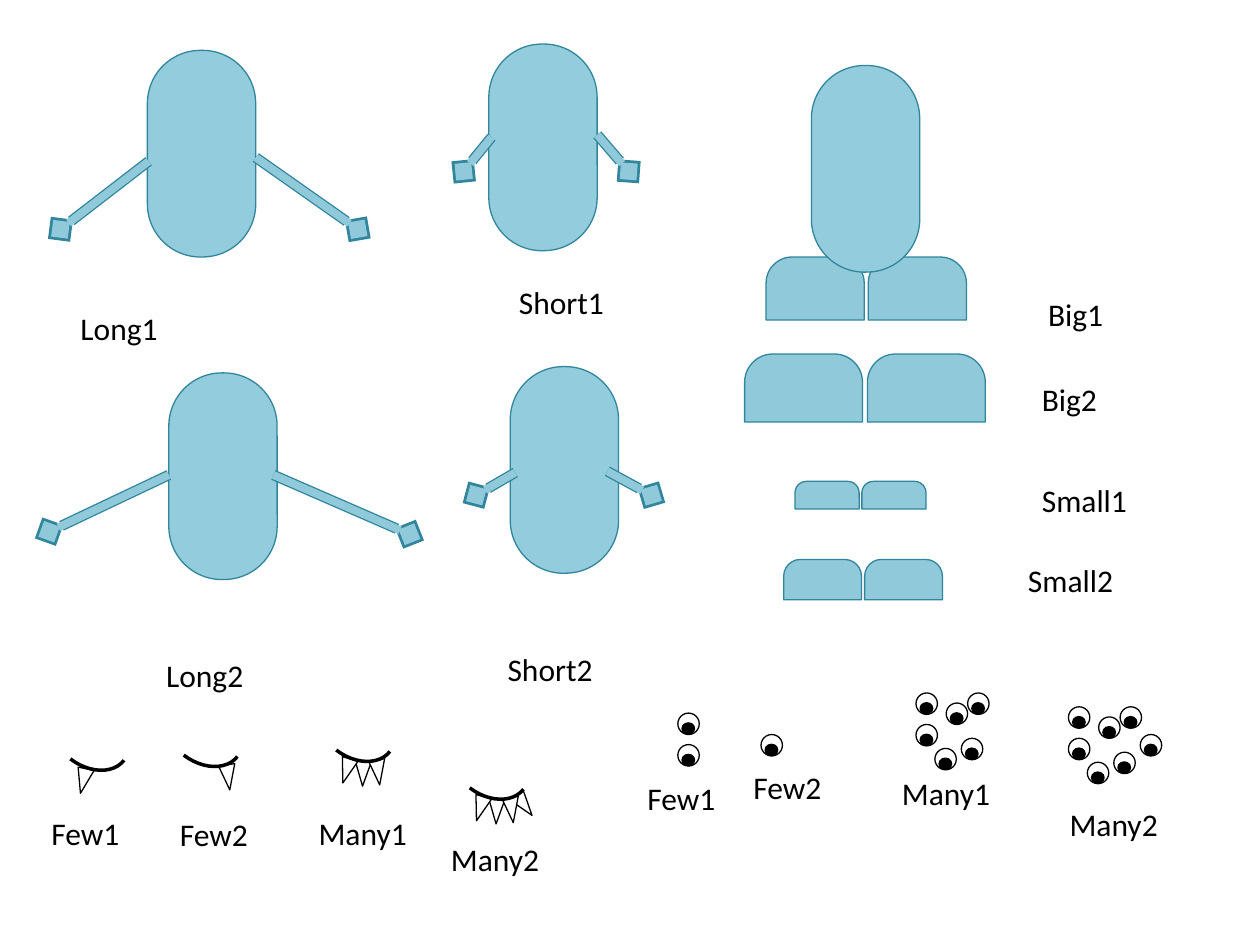
from dataclasses import dataclass

from lxml.etree import SubElement
from pptx import Presentation
from pptx.dml.color import RGBColor
from pptx.enum.shapes import MSO_CONNECTOR, MSO_SHAPE
from pptx.enum.text import MSO_AUTO_SIZE, PP_ALIGN
from pptx.oxml.ns import qn
from pptx.util import Inches, Pt


@dataclass(frozen=True)
class Theme:
    body: str = "93CDDD"
    limb: str = "90C9DA"
    edge: str = "31859C"
    ink: str = "000000"
    paper: str = "FFFFFF"
    font: str = "Calibri"
    label_size: float = 18
    outline: float = 0.75
    lid: float = 2
    arm_edge: float = 6
    arm: float = 4.5


THEME = Theme()
prs = Presentation()
prs.slide_width, prs.slide_height = Inches(10), Inches(7.5)

# Grid of 100 columns by 75 rows
COL = prs.slide_width / 100
ROW = prs.slide_height / 75


def place(x, y, *size):
    lengths = (x * COL, y * ROW) + tuple(
        side * unit for side, unit in zip(size, (COL, ROW, COL, ROW)))
    return [round(length) for length in lengths]


def rgb(value):
    return RGBColor.from_string(value)


def add_part(shapes, kind, box, fill, line=THEME.ink, width=THEME.outline,
             adjust=(), turn=0):
    part = shapes.add_shape(kind, *place(*box))
    part.shadow.inherit = False
    if fill:
        part.fill.solid()
        part.fill.fore_color.rgb = rgb(fill)
    else:
        part.fill.background()
    part.line.color.rgb = rgb(line)
    part.line.width = Pt(width)
    for index, value in enumerate(adjust):
        part.adjustments[index] = value
    part.rotation = turn
    return part


def add_label(shapes, text, x, y, width):
    label = shapes.add_textbox(*place(x, y, width, 4))
    frame = label.text_frame
    frame.word_wrap = False
    frame.auto_size = MSO_AUTO_SIZE.SHAPE_TO_FIT_TEXT
    paragraph = frame.paragraphs[0]
    paragraph.text = text
    paragraph.alignment = PP_ALIGN.LEFT
    paragraph.font.name = THEME.font
    paragraph.font.size = Pt(THEME.label_size)
    paragraph.font.color.rgb = rgb(THEME.ink)


def add_body(shapes, x, y):
    add_part(shapes, MSO_SHAPE.ROUNDED_RECTANGLE, (x, y, 8.6, 16.4),
             THEME.body, THEME.edge, adjust=(0.49,))


def add_arm(shapes, shoulder, hand):
    # A wide dark stroke under a narrower light one
    for color, width in ((THEME.edge, THEME.arm_edge), (THEME.limb, THEME.arm)):
        stroke = shapes.add_connector(
            MSO_CONNECTOR.STRAIGHT, *place(*shoulder), *place(*hand))
        stroke.line.color.rgb = rgb(color)
        stroke.line.width = Pt(width)
        SubElement(stroke.line._get_or_add_ln(), qn("a:tailEnd"), type="diamond")
        SubElement(stroke._element.spPr, qn("a:effectLst"))


def add_armed_figure(shapes, x, y, arms):
    add_body(shapes, x, y)
    pair = shapes.add_group_shape().shapes
    for sx, sy, hx, hy in arms:
        add_arm(pair, (x + sx, y + sy), (x + hx, y + hy))


def add_feet(shapes, x, y, width, height):
    pair = shapes.add_group_shape().shapes
    foot = 0.49 * width
    for left in (x + width - foot, x):
        add_part(pair, MSO_SHAPE.ROUND_2_SAME_RECTANGLE, (left, y, foot, height),
                 THEME.limb, THEME.edge, adjust=(0.414, 0))


def add_eyes(shapes, x, y, offsets):
    cluster = shapes.add_group_shape().shapes
    for dx, dy in offsets:
        left, top = x + dx, y + dy
        add_part(cluster, MSO_SHAPE.OVAL, (left, top, 1.7, 1.7), THEME.paper)
        add_part(cluster, MSO_SHAPE.OVAL, (left + 0.33, top + 0.77, 1, 0.9),
                 THEME.ink)


def add_lashes(shapes, x, y, lashes):
    fringe = shapes.add_group_shape().shapes
    for dx, dy, turn in lashes:
        lash = add_part(fringe, MSO_SHAPE.ISOSCELES_TRIANGLE,
                        (x + dx, y + dy, 1.3, 2), THEME.paper,
                        adjust=(0.443,), turn=turn)
        lash._element.spPr.find(qn("a:xfrm")).set("flipV", "1")
    add_part(shapes, MSO_SHAPE.ARC, (x, y, 5, 6.9), None,
             width=THEME.lid, turn=127.4)


# Arms: body corner, then shoulder and hand of each arm from that corner
ARMED_FIGURES = [
    (11.7, 4, [(0.1, 8.8, -6.9, 14.2), (8.6, 8.5, 16.7, 14.2)]),
    (13.4, 29.6, [(0, 8.1, -9.5, 12.6), (8.3, 8.1, 19.1, 12.8)]),
    (38.8, 3.5, [(0.2, 7.4, -2, 10.1), (8.6, 7.2, 11.1, 10.1)]),
    (40.5, 29.1, [(0.4, 8.4, -2.7, 10.2), (7.7, 8.3, 11.2, 10.2)]),
]
FEET = [
    (63.1, 38.2, 10.4, 2.2),
    (59.1, 28.1, 19.1, 5.4),
    (60.8, 20.4, 15.9, 5),
    (62.2, 44.4, 12.6, 3.2),
]
SIX_EYES = [(0, 0), (0, 2.5), (2.4, 0.8), (3.6, 3.6), (4.1, 0), (1.5, 4.4)]
EYES = [
    (53.8, 56.6, [(0, 0), (0, 2.5)]),
    (60.4, 58.3, [(0, 0)]),
    (72.7, 55, SIX_EYES),
    (84.8, 56.1, SIX_EYES + [(5.7, 2.2)]),
]
THREE_LASHES = [(2.5, 6.3, 0), (3.7, 6.2, 350.8), (1.2, 6.1, 15)]
LASHES = [
    (4.6, 54.8, [(1.4, 6.2, 11)]),
    (13.6, 54.5, [(3.9, 6.2, 350.8)]),
    (25.7, 54.1, THREE_LASHES),
    (36.3, 57.1, [(4.7, 5.8, 320.7)] + THREE_LASHES),
]
LABEL_WIDTHS = {"Long": 8.2, "Short": 8.8, "Big": 6.4, "Small": 8.8,
                "Few": 7.5, "Many": 9.1}
LABELS = [
    ("Long", [(5.4, 24), (12.2, 51.6)]),
    ("Short", [(40.2, 22), (39.3, 51.1)]),
    ("Big", [(82.2, 22.9), (81.7, 29.7)]),
    ("Small", [(81.7, 37.7), (80.6, 44)]),
    ("Few", [(50.4, 61.3), (58.8, 60.5)]),
    ("Many", [(70.6, 60.9), (83.9, 63.4)]),
    ("Few", [(3.1, 64.1), (13.3, 64.2)]),
    ("Many", [(24.3, 64.1), (34.8, 66.2)]),
]

shapes = prs.slides.add_slide(prs.slide_layouts[6]).shapes

# Feet, with the standing body over them
for feet in FEET:
    add_feet(shapes, *feet)
add_body(shapes, 64.4, 5.2)

# Arms, eyes and lashes
for add_variant, variants in ((add_armed_figure, ARMED_FIGURES),
                              (add_eyes, EYES), (add_lashes, LASHES)):
    for variant in variants:
        add_variant(shapes, *variant)

# Numbered labels
for trait, spots in LABELS:
    for number, (x, y) in enumerate(spots, start=1):
        add_label(shapes, f"{trait}{number}", x, y, LABEL_WIDTHS[trait])

prs.save("out.pptx")
